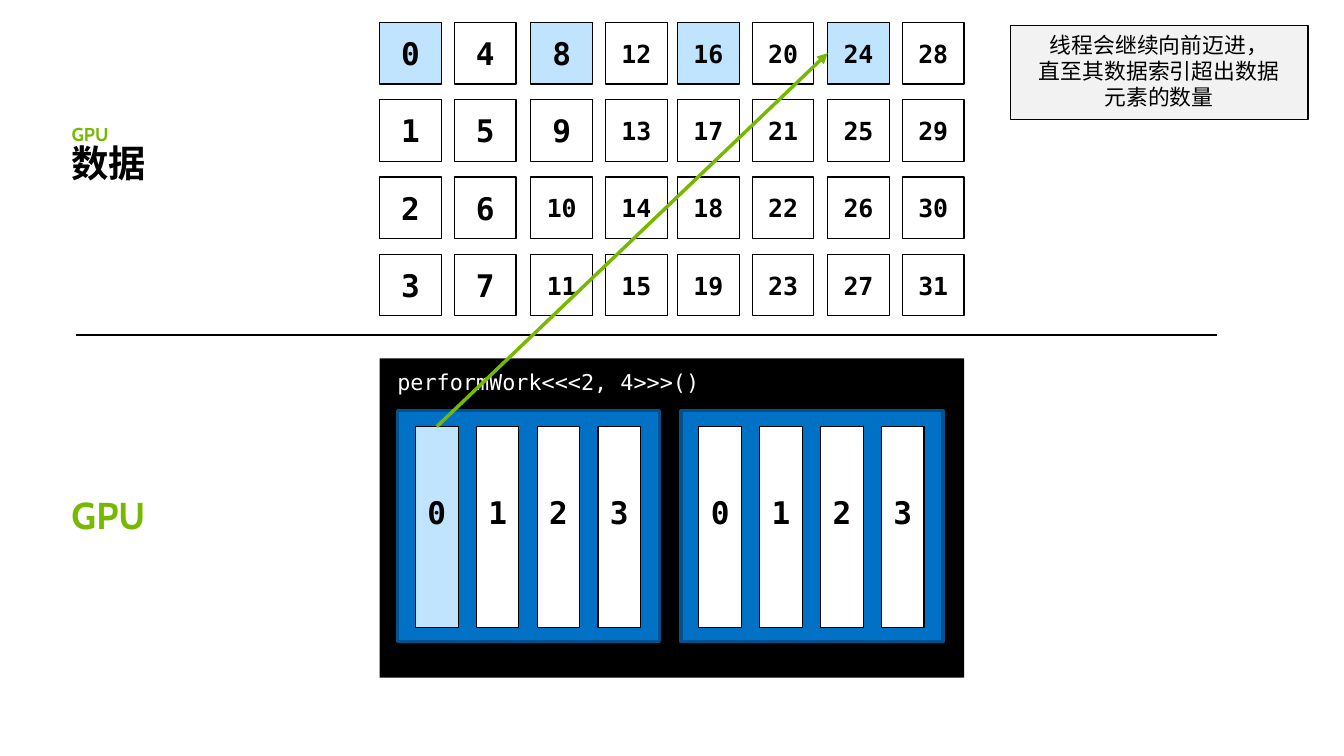
from dataclasses import dataclass

import pptx
import pptx.dml.color
import pptx.enum.shapes
import pptx.enum.text
import pptx.oxml
import pptx.oxml.ns
import pptx.util

Pt = pptx.util.Pt
ALIGN = pptx.enum.text.PP_ALIGN
ANCHOR = pptx.enum.text.MSO_ANCHOR
RECTANGLE = pptx.enum.shapes.MSO_SHAPE.RECTANGLE

COLORS = {
    "black": "000000",
    "white": "FFFFFF",
    "green": "76B900",
    "active": "C0E3FE",
    "block": "0071C5",
    "block_edge": "00528F",
    "note": "F2F2F2",
}
MONO = "DejaVu Sans Mono"

# Data grid: pairs of columns, four elements in each column
PAIR_LEFTS = (244.1, 341.3, 435.6, 532.1)
COLUMN_STEP, ROW_TOP, ROW_STEP, CELL = 48, 14.4, 49.7, 39.6
ROWS = 4

# Thread blocks
BLOCK_LEFTS = (255.6, 437.8)
THREADS = 4
THREAD_INDENT, THREAD_STEP = 11.5, 39.1


@dataclass(frozen=True)
class Area:
    left: float
    top: float
    width: float
    height: float

    def lengths(self) -> tuple:
        return Pt(self.left), Pt(self.top), Pt(self.width), Pt(self.height)


@dataclass(frozen=True)
class Style:
    font: str
    size: float
    color: str = "black"
    bold: bool = False
    align: ALIGN = ALIGN.LEFT
    anchor: ANCHOR = ANCHOR.MIDDLE
    spacing: float = 1.0
    insets: tuple = (7.2, 3.6, 7.2, 3.6)


@dataclass(frozen=True)
class Label:
    text: str
    area: Area
    style: Style


def rgb(name: str) -> pptx.dml.color.RGBColor:
    return pptx.dml.color.RGBColor.from_string(COLORS[name])


def set_attributes(target, values: dict) -> None:
    for name, value in values.items():
        setattr(target, name, value)


def write(box, text: str, style: Style) -> None:
    left, top, right, bottom = style.insets
    set_attributes(box.text_frame, {
        "word_wrap": True,
        "vertical_anchor": style.anchor,
        "margin_left": Pt(left),
        "margin_top": Pt(top),
        "margin_right": Pt(right),
        "margin_bottom": Pt(bottom),
    })
    para = box.text_frame.paragraphs[0]
    para.text = text
    set_attributes(para, {"alignment": style.align, "line_spacing": style.spacing})
    for span in para.runs:
        set_attributes(span.font, {
            "name": style.font, "size": Pt(style.size), "bold": style.bold,
        })
        span.font.color.rgb = rgb(style.color)


def add_box(page, area: Area, fill: str, edge: str = "", weight: float = 0.75):
    box = page.shapes.add_shape(RECTANGLE, *area.lengths())
    box.shadow.inherit = False
    box.fill.solid()
    box.fill.fore_color.rgb = rgb(fill)
    if edge:
        box.line.color.rgb = rgb(edge)
        box.line.width = Pt(weight)
    else:
        box.line.fill.background()
    return box


def add_label(page, label: Label) -> None:
    box = page.shapes.add_textbox(*label.area.lengths())
    write(box, label.text, label.style)


def add_line(page, start: tuple, end: tuple, color: str, weight: float):
    line = page.shapes.add_connector(
        pptx.enum.shapes.MSO_CONNECTOR.STRAIGHT,
        *(Pt(value) for value in start + end))
    line.line.color.rgb = rgb(color)
    line.line.width = Pt(weight)
    properties = line._element.spPr
    properties.append(pptx.oxml.parse_xml(
        f'<a:effectLst {pptx.oxml.ns.nsdecls("a")}/>'))
    return line


def add_data_grid(page) -> list:
    cells = []
    lefts = [left + step for left in PAIR_LEFTS for step in (0, COLUMN_STEP)]
    for column, left in enumerate(lefts):
        for row in range(ROWS):
            index = column * ROWS + row
            fill = "active" if index % 8 == 0 else "white"
            area = Area(left, ROW_TOP + row * ROW_STEP, CELL, CELL)
            cell = add_box(page, area, fill, "black")
            write(cell, str(index), Style(
                MONO, 20 if index < 10 else 16, bold=True,
                align=ALIGN.CENTER, insets=(0, 0, 0, 0)))
            cells.append(cell)
    return cells


def add_thread_blocks(page) -> list:
    # The bottom inset lifts each number above the middle of its bar
    style = Style(MONO, 20, bold=True, align=ALIGN.CENTER, insets=(0, 0, 0, 19.4))
    bars = []
    for left in BLOCK_LEFTS:
        add_box(page, Area(left, 264.2, 168.5, 148.3), "block", "block_edge", 2)
        for thread in range(THREADS):
            bar_left = left + THREAD_INDENT + thread * THREAD_STEP
            bar = add_box(page, Area(bar_left, 274.3, 27.4, 128.9),
                          "white" if bars else "active", "black")
            write(bar, str(thread), style)
            bars.append(bar)
    return bars


def main() -> None:
    deck = pptx.Presentation()
    deck.slide_width, deck.slide_height = Pt(864), Pt(486)
    page = deck.slides.add_slide(deck.slide_layouts[6])

    # GPU frame with its two thread blocks
    add_box(page, Area(244.1, 230.4, 375.8, 205.2), "black")
    bars = add_thread_blocks(page)

    # Data elements and the dividing line
    cells = add_data_grid(page)
    add_line(page, (49, 215.3), (782.6, 215.3), "black", 1.5)

    # Labels
    heading = {"font": "Cabin", "bold": True, "anchor": ANCHOR.BOTTOM, "spacing": 0.9}
    labels = (
        Label("performWork<<<2, 4>>>()", Area(248.4, 236.2, 220.3, 18.7),
              Style(MONO, 14, "white")),
        Label("GPU", Area(38.9, 316.1, 69.8, 33.1), Style(size=24, color="green", **heading)),
        Label("数据", Area(38.9, 90, 79.2, 33.1), Style(size=24, **heading)),
        Label("GPU", Area(38.9, 77, 39.6, 20.2), Style(size=12, color="green", **heading)),
    )
    for label in labels:
        add_label(page, label)

    # Note
    note = add_box(page, Area(649.4, 16.6, 191.5, 60.5), "note", "black")
    write(note, "线程会继续向前迈进，\n直至其数据索引超出数据\n元素的数量",
          Style("Arial", 14, align=ALIGN.CENTER, anchor=ANCHOR.TOP))

    # Arrow from the first thread to element 24
    arrow = add_line(page, (280.8, 274.3), (532.1, 34.2), "green", 2.25)
    arrow.begin_connect(bars[0], 0)
    arrow.end_connect(cells[24], 1)
    arrow.line._get_or_add_ln().append(pptx.oxml.parse_xml(
        f'<a:tailEnd {pptx.oxml.ns.nsdecls("a")} type="triangle"/>'))

    deck.save("out.pptx")


if __name__ == "__main__":
    main()
